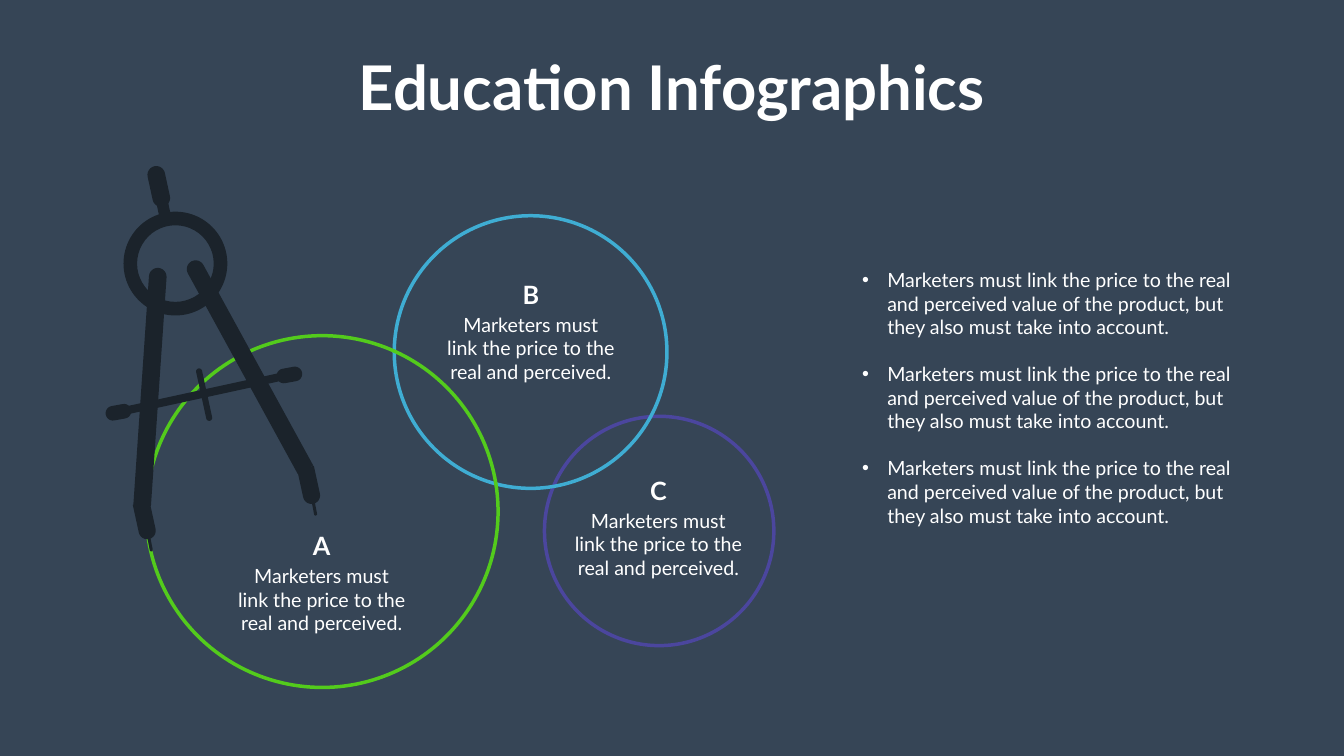
"""Build the Education Infographics slide: a compass, three circles and a list."""
import math

import lxml.etree
import pptx
import pptx.dml.color
import pptx.enum.shapes
import pptx.enum.text
import pptx.oxml.ns
import pptx.util

RGB = pptx.dml.color.RGBColor
SLATE = RGB(0x36, 0x45, 0x56)
INK = RGB(0x1B, 0x23, 0x2B)
WHITE = RGB(0xFF, 0xFF, 0xFF)
PURPLE = RGB(0x4B, 0x46, 0x9E)
BLUE = RGB(0x3F, 0xAD, 0xD3)
GREEN = RGB(0x53, 0xCB, 0x1C)

PX = 9144
FONT = "Lato"
CENTER = pptx.enum.text.PP_ALIGN.CENTER
SHAPES = pptx.enum.shapes.MSO_SHAPE

TITLE = "Education Infographics"
CAPTION = "Marketers must link the price to the real and perceived."
POINTS = [
    "Marketers must link the price to the real and perceived value of the "
    "product, but they also must take into account."
] * 3

# letter, colour, circle centre, diameter, label centre and top
CIRCLES = [
    ("C", PURPLE, (1308, 1054), 455, (1306, 938)),
    ("B", BLUE, (1052, 698), 541, (1053, 549)),
    ("A", GREEN, (639, 1015), 698, (638, 1048)),
]
LABEL_WIDTH, LETTER_HEIGHT, CAPTION_HEIGHT = 356, 66, 142

RING_CENTER, RING_RADIUS, RING_THICKNESS = (348, 523), 103, 27
# start, end, thickness, rounded start, rounded end
COMPASS_BARS = [
    ((606, 928), (618, 983), 34, False, True),
    ((294, 1060), (300, 1091), 6, False, True),
    ((620, 989), (626, 1020), 6, False, True),
    ((320, 393), (329, 436), 23, False, False),
    ((310, 347), (320, 393), 35, True, True),
    ((257, 813), (551, 749), 16, False, False),
    ((563, 746), (585, 742), 29, True, True),
    ((224, 820), (246, 816), 29, True, True),
    ((395, 737), (415, 829), 12, True, True),
    ((282, 1003), (313, 549), 35, False, True),
    ((280, 998), (292, 1053), 34, False, True),
    ((606, 932), (388, 534), 35, False, True),
]


def place(shape, left, top, width, height):
    shape.left, shape.top = left * PX, top * PX
    shape.width, shape.height = width * PX, height * PX


def style(paragraph, size, bold=False, align=None):
    paragraph.alignment = align
    paragraph.font.name = FONT
    paragraph.font.size = pptx.util.Pt(size)
    paragraph.font.bold = bold
    paragraph.font.color.rgb = WHITE


def paint(shape):
    shape.shadow.inherit = False
    shape.fill.solid()
    shape.fill.fore_color.rgb = INK
    shape.line.fill.background()


def add_circle(shapes, color, center, diameter):
    left, top = (round(c - diameter / 2) * PX for c in center)
    circle = shapes.add_shape(SHAPES.OVAL, left, top, diameter * PX, diameter * PX)
    circle.shadow.inherit = False
    circle.fill.background()
    circle.line.color.rgb = color
    circle.line.width = pptx.util.Pt(5)


def cap(point, heading, radius, rounded):
    turns = range(-90, 91, 15) if rounded else (-90, 90)
    angles = [heading + math.radians(turn) for turn in turns]
    return [((point[0] + radius * math.cos(a)) * PX,
             (point[1] + radius * math.sin(a)) * PX) for a in angles]


def add_bar(shapes, start, end, thickness, round_start, round_end):
    heading = math.atan2(end[1] - start[1], end[0] - start[0])
    outline = (cap(end, heading, thickness / 2, round_end)
               + cap(start, heading + math.pi, thickness / 2, round_start))
    builder = shapes.build_freeform(*outline[0])
    builder.add_line_segments(outline[1:], close=True)
    paint(builder.convert_to_shape())


def add_compass(shapes):
    compass = shapes.add_group_shape().shapes
    left, top = ((c - RING_RADIUS) * PX for c in RING_CENTER)
    side = 2 * RING_RADIUS * PX
    ring = compass.add_shape(SHAPES.DONUT, left, top, side, side)
    ring.adjustments[0] = RING_THICKNESS / (2 * RING_RADIUS)
    paint(ring)
    for bar in COMPASS_BARS:
        add_bar(compass, *bar)


def add_label(shapes, letter, middle, top):
    label = shapes.add_group_shape().shapes
    left = middle - LABEL_WIDTH // 2
    rows = [
        (letter, top, LETTER_HEIGHT, 36, True),
        (CAPTION, top + LETTER_HEIGHT, CAPTION_HEIGHT, 28, False),
    ]
    for text, row_top, height, size, bold in rows:
        box = label.add_textbox(left * PX, row_top * PX, LABEL_WIDTH * PX, height * PX)
        box.text_frame.word_wrap = True
        box.text_frame.text = text
        style(box.text_frame.paragraphs[0], size, bold, CENTER)


def fill_title(title):
    place(title, 688, 91, 1289, 158)
    frame = title.text_frame
    frame.text = TITLE
    frame.word_wrap = False
    frame.auto_size = pptx.enum.text.MSO_AUTO_SIZE.NONE
    style(frame.paragraphs[0], 88, True, CENTER)


def fill_list(body):
    place(body, 1700, 527, 767, 576)
    frame = body.text_frame
    frame.word_wrap = True
    frame.auto_size = pptx.enum.text.MSO_AUTO_SIZE.NONE
    for index, point in enumerate(POINTS):
        paragraph = frame.add_paragraph() if index else frame.paragraphs[0]
        paragraph.text = point
        properties = paragraph._p.get_or_add_pPr()
        properties.set("marL", str(50 * PX))
        properties.set("indent", str(-50 * PX))
        bullet = lxml.etree.SubElement(properties, pptx.oxml.ns.qn("a:buChar"))
        bullet.set("char", "•")
        paragraph.space_before = pptx.util.Pt(33.6 if index else 0)
        style(paragraph, 28)


def main():
    deck = pptx.Presentation()
    deck.slide_width, deck.slide_height = 2666 * PX, 1500 * PX
    slide = deck.slides.add_slide(deck.slide_layouts[1])
    slide.background.fill.solid()
    slide.background.fill.fore_color.rgb = SLATE
    fill_title(slide.shapes.title)
    fill_list(slide.placeholders[1])
    for _, color, center, diameter, _ in CIRCLES:
        add_circle(slide.shapes, color, center, diameter)
    add_compass(slide.shapes)
    for letter, _, _, _, label_place in CIRCLES:
        add_label(slide.shapes, letter, *label_place)
    deck.save("out.pptx")


if __name__ == "__main__":
    main()
